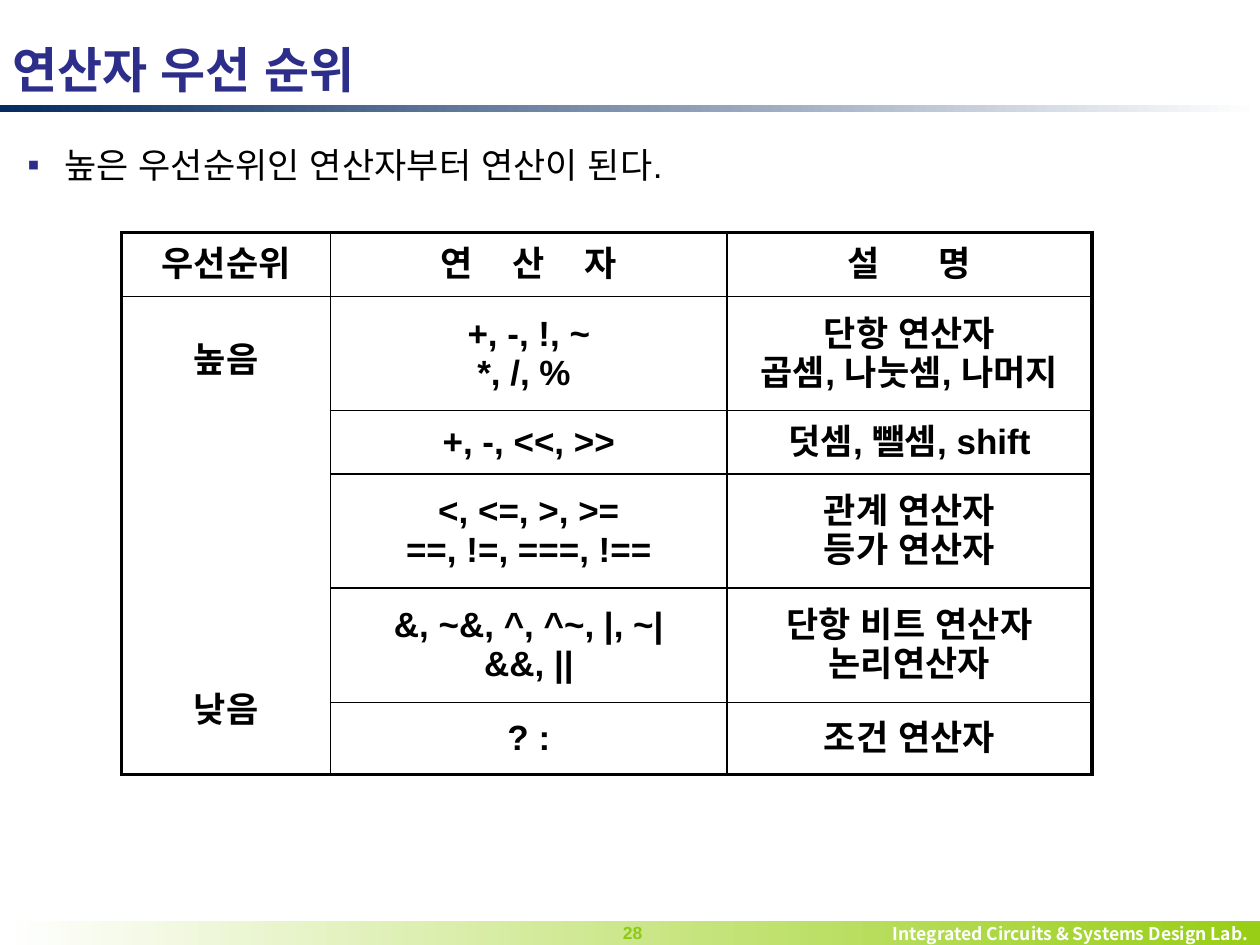
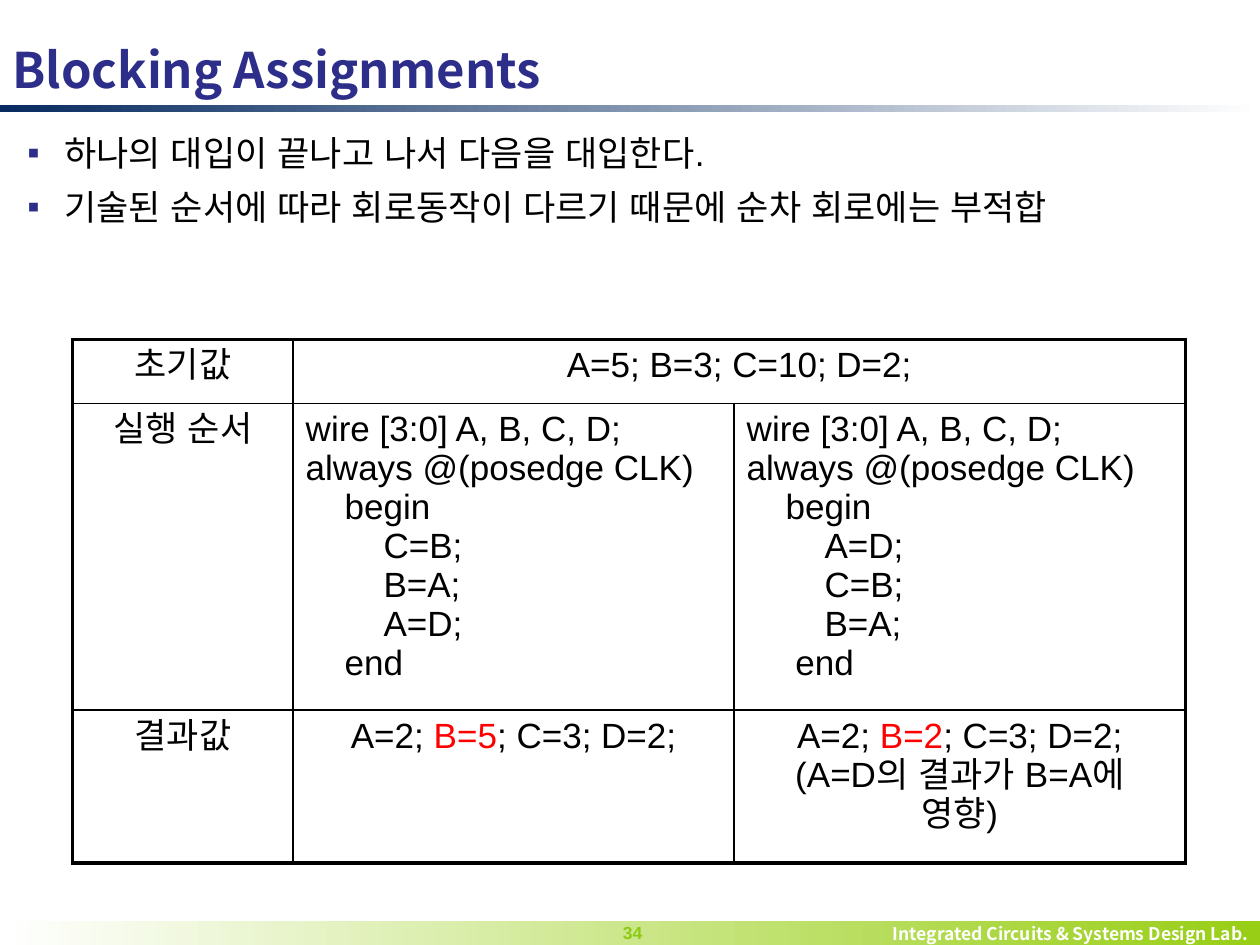
from pptx import Presentation
from pptx.util import Pt
from pptx.dml.color import RGBColor
from pptx.enum import shapes, text
from pptx.oxml import parse_xml, ns

# Shared look
HEX = {"navy": "072B60", "title": "2D2D8A", "lime": "98CE15", "page": "8ECA15",
       "ink": "000000", "red": "FF0000", "paper": "FFFFFF"}
LATIN, HANGUL = "Arial", "Noto Sans CJK KR"
WIDE, HIGH = 720, 540
LAB = "Integrated Circuits & Systems Design Lab."
THICK, THIN = 2.25, 1
SPACE = 5.56  # width of one space at 20 pt
LEFT, MID, RIGHT = text.PP_ALIGN.LEFT, text.PP_ALIGN.CENTER, text.PP_ALIGN.RIGHT
CORE, TOP = text.MSO_ANCHOR.MIDDLE, text.MSO_ANCHOR.TOP


# Content: a paragraph is a string or a dict; a run is (text, style)
def spread(head, last, track):
    return {"runs": [(head, {"track": track}), (last, {})]}


def code(*lines):
    return [{"runs": [(line, {})], "marL": n * SPACE, "align": LEFT} for n, line in lines]


def result(b):
    return {"runs": [("A=2; ", {}), (b, {"hue": "red"}), ("; C=3; D=2;", {})]}


START = [(0, "wire [3:0] A, B, C, D;"), (0, "always @(posedge CLK)"), (4, "begin")]
RANKS = ["높음", {"runs": [("낮음", {})], "gap": 178}]
NOTE = {"runs": [("(A=D의 결과가 B=A에 영향)", {})], "marL": 13, "marR": 13}

SLIDES = [
    {"title": "연산자 우선 순위", "page": "28", "top": 75,
     "points": ["높은 우선순위인 연산자부터 연산이 된다."],
     "table": {
         "at": (69.5, 133), "cols": [119.5, 226.5, 208.5],
         "rows": [36.5, 65, 36.5, 65, 65.5, 41],
         "bold": True, "anchor": CORE, "merge": (1, 0, 5, 0),
         "cells": [
             [["우선순위"], [spread("연 산 ", "자", 8.5)], [spread("설 ", "명", 14)]],
             [RANKS, ["+, -, !, ~", "*, /, % "], ["단항 연산자", "곱셈, 나눗셈, 나머지"]],
             [[], ["+, -, <<, >>"], ["덧셈, 뺄셈, shift"]],
             [[], ["<, <=, >, >=", "==, !=, ===, !=="], ["관계 연산자", "등가 연산자"]],
             [[], ["&, ~&, ^, ^~, |, ~|", "&&, ||"], ["단항 비트 연산자", "논리연산자"]],
             [[], ["? :"], ["조건 연산자"]]]}},
    {"title": "Blocking Assignments", "page": "34", "top": 68,
     "points": ["하나의 대입이 끝나고 나서 다음을 대입한다.",
                "기술된 순서에 따라 회로동작이 다르기 때문에 순차 회로에는 부적합"],
     "table": {
         "at": (41.5, 194), "cols": [126, 252, 258], "rows": [36.5, 175, 87.5],
         "bold": False, "anchor": TOP, "merge": (0, 1, 0, 2),
         "cells": [
             [["초기값"], ["A=5; B=3; C=10; D=2;"], []],
             [["실행 순서"],
              code(*START, (8, "C=B;"), (8, "B=A;"), (8, "A=D;"), (4, "end")),
              code(*START, (8, "A=D;"), (8, "C=B;"), (8, "B=A;"), (5, "end"))],
             [["결과값"], [result("B=5")], [result("B=2"), NOTE]]]}},
]


# Text
def tint(name):
    return RGBColor.from_string(HEX[name])


def add_run(par, words, size, hue="ink", bold=False, face=LATIN, track=0):
    run = par.add_run()
    run.text = words
    font = run.font
    font.size, font.bold, font.name = Pt(size), bold, face
    font.color.rgb = tint(hue)
    props = run._r.get_or_add_rPr()
    props.set("lang", "ko-KR")
    props.append(parse_xml(f'<a:ea {ns.nsdecls("a")} typeface="{LATIN}"/>'))
    if track:
        props.set("spc", str(int(track * 100)))


def write(frame, pars, align=LEFT, **style):
    for i, item in enumerate(pars):
        par = frame.paragraphs[0] if i == 0 else frame.add_paragraph()
        if isinstance(item, str):
            item = {"runs": [(item, {})]}
        par.alignment = item.get("align", align)
        if "gap" in item:
            par.space_before = Pt(item["gap"])
        for side in ("marL", "marR"):
            if side in item:
                par._p.get_or_add_pPr().set(side, str(Pt(item[side])))
        for words, extra in item["runs"]:
            add_run(par, words, **{**style, **extra})


def add_box(slide, at, pars, anchor=TOP, **style):
    box = slide.shapes.add_textbox(*map(Pt, at))
    frame = box.text_frame
    frame.word_wrap, frame.vertical_anchor = True, anchor
    write(frame, pars, **style)
    return frame


def add_bullets(frame):
    for par in frame.paragraphs:
        par.line_spacing, par.space_before = 1.14, Pt(4)
        props = par._p.get_or_add_pPr()
        props.set("marL", str(Pt(21)))
        props.set("indent", str(-Pt(21)))
        for tag in (f'buClr {ns.nsdecls("a")}><a:srgbClr val="{HEX["title"]}"/></a:buClr',
                    f'buFont {ns.nsdecls("a")} typeface="{LATIN}"/',
                    f'buChar {ns.nsdecls("a")} char="▪"/'):
            props.append(parse_xml(f"<a:{tag}>"))


# Bands, title and footer
def add_band(slide, at, first, last):
    band = slide.shapes.add_shape(shapes.MSO_SHAPE.RECTANGLE, *map(Pt, at))
    band.shadow.inherit = False
    band.line.fill.background()
    band.fill.gradient()
    band.fill.gradient_angle = 0
    for stop, hue in zip(band.fill.gradient_stops, (first, last)):
        stop.color.rgb = tint(hue)
    return band


def add_frame(slide, title, page):
    add_band(slide, (0, 60, WIDE, 4), "navy", "paper")
    foot = add_band(slide, (3, 526.5, WIDE - 3, 13.5), "paper", "lime").text_frame
    foot.margin_top = foot.margin_bottom = 0
    foot.vertical_anchor = CORE
    write(foot, [LAB], align=RIGHT, size=10, hue="paper", bold=True, face=HANGUL)
    add_box(slide, (333.5, 523.5, 56, 19.5), [page], align=MID,
            size=10, hue="page", bold=True)
    add_box(slide, (0, 17, WIDE, 45), [title], anchor=CORE,
            size=28, hue="title", bold=True, face=HANGUL)


# Table
def add_rules(cell, edges):
    props = cell._tc.get_or_add_tcPr()
    for side, outer in edges.items():
        width = Pt(THICK if outer else THIN)
        props.append(parse_xml(
            f'<a:ln{side} {ns.nsdecls("a")} w="{width}"><a:solidFill>'
            f'<a:srgbClr val="{HEX["ink"]}"/></a:solidFill></a:ln{side}>'))


def add_grid(slide, at, cols, rows, bold, anchor, merge, cells):
    size = (sum(cols), sum(rows))
    grid = slide.shapes.add_table(len(rows), len(cols), *map(Pt, at + size)).table
    grid.first_row = grid.horz_banding = False
    for col, wide in zip(grid.columns, cols):
        col.width = Pt(wide)
    for row, high in zip(grid.rows, rows):
        row.height = Pt(high)
    r0, c0, r1, c1 = merge
    grid.cell(r0, c0).merge(grid.cell(r1, c1))
    for r, line in enumerate(cells):
        for c, pars in enumerate(line):
            cell = grid.cell(r, c)
            # A merged cell reaches the edge where its span ends
            low, far = (r1, c1) if (r, c) == (r0, c0) else (r, c)
            add_rules(cell, {"L": c == 0, "R": far == len(cols) - 1,
                             "T": r == 0, "B": low == len(rows) - 1})
            cell.fill.background()
            cell.vertical_anchor = anchor
            write(cell.text_frame, pars, align=MID, size=20, bold=bold)


def main():
    deck = Presentation()
    deck.slide_width, deck.slide_height = Pt(WIDE), Pt(HIGH)
    for item in SLIDES:
        slide = deck.slides.add_slide(deck.slide_layouts[6])
        add_frame(slide, item["title"], item["page"])
        body = add_box(slide, (8.5, item["top"], 702, 448.5), item["points"], size=20)
        add_bullets(body)
        add_grid(slide, **item["table"])
    deck.save("out.pptx")


if __name__ == "__main__":
    main()
